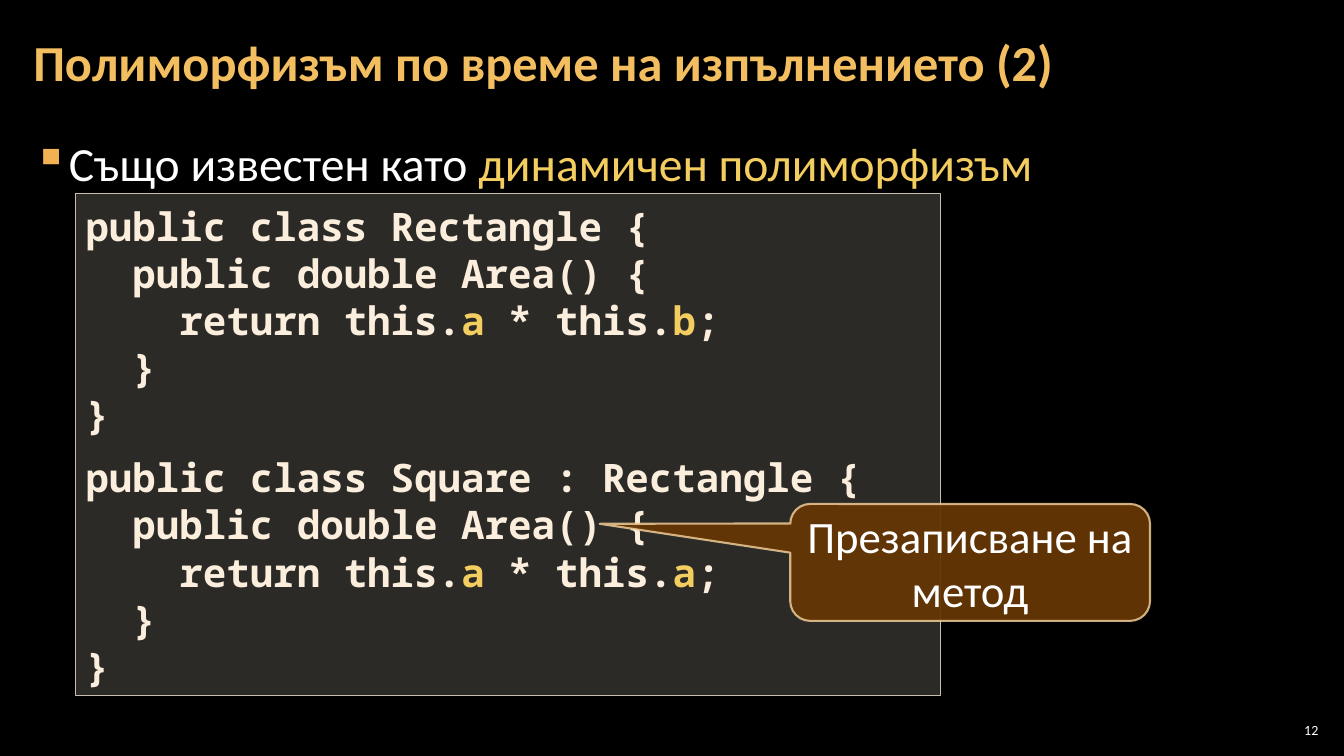
from lxml.etree import SubElement
from pptx import Presentation
from pptx.dml.color import RGBColor
from pptx.enum.shapes import MSO_SHAPE as Shape
from pptx.enum.text import MSO_ANCHOR as Anchor, PP_ALIGN as Align
from pptx.oxml.ns import qn
from pptx.util import Pt

BLACK = RGBColor(0x00, 0x00, 0x00)
WHITE = RGBColor(0xFF, 0xFF, 0xFF)
GOLD = RGBColor(0xF3, 0xBE, 0x60)
BULLET = RGBColor(0xF2, 0xB2, 0x54)
HIGHLIGHT = RGBColor(0xF3, 0xCD, 0x60)
CREAM = RGBColor(0xFB, 0xEE, 0xDC)
PANEL = RGBColor(0xD9, 0xD5, 0xC7)
PANEL_EDGE = RGBColor(0xC7, 0xBF, 0xAC)
BROWN = RGBColor(0x66, 0x36, 0x06)
BROWN_EDGE = RGBColor(0xF8, 0xD4, 0x9E)

TITLE = "Полиморфизъм по време на изпълнението (2)"
INTRO = "Също известен като |динамичен полиморфизъм"
CLASSES = [
    [
        "public class Rectangle {",
        "  public double Area() {",
        "    return this.|a| * this.|b|;",
        "  }",
        "}",
    ],
    [
        "public class Square : Rectangle {",
        "  public double Area() {",
        "    return this.|a| * this.|a|;",
        "  }",
        "}",
    ],
]
CALLOUT = "Презаписване на метод"
PAGE = "12"

TITLE_FONT = {"name": "Calibri", "size": Pt(36), "bold": True}
INTRO_FONT = {"name": "Calibri", "size": Pt(34)}
CODE_FONT = {"name": "Noto Sans Mono", "size": Pt(28), "bold": True}
CALLOUT_FONT = {"name": "Calibri", "size": Pt(32)}
PAGE_FONT = {"name": "Calibri", "size": Pt(10)}
TEXT_FRAME = {
    "word_wrap": True,
    "margin_left": Pt(8.64),
    "margin_right": Pt(8.64),
    "margin_top": Pt(2.88),
    "margin_bottom": Pt(2.88),
}
PAGE_FRAME = TEXT_FRAME | {"margin_left": Pt(2.88), "margin_right": Pt(2.88)}


def apply(target, values):
    for key, value in values.items():
        setattr(target, key, value)


def box(left, top, width, height):
    return Pt(left), Pt(top), Pt(width), Pt(height)


def write(paragraph, text, font, color):
    for index, part in enumerate(text.split("|")):
        run = paragraph.add_run()
        run.text = part
        apply(run.font, font)
        run.font.color.rgb = HIGHLIGHT if index % 2 else color


def paint(part, color, opacity):
    part.solid()
    part.fore_color.rgb = color
    solid = part._xPr.find(qn("a:solidFill"))
    SubElement(solid[0], qn("a:alpha"), val=str(opacity * 1000))


def add_panel(kind, place, fill, line, line_width):
    panel = slide.shapes.add_shape(kind, *place)
    panel.shadow.inherit = False
    paint(panel.fill, *fill)
    paint(panel.line.fill, *line)
    panel.line.width = Pt(line_width)
    return panel


prs = Presentation()
prs.slide_width, prs.slide_height = Pt(960), Pt(540)
slide = prs.slides.add_slide(prs.slide_layouts[5])
slide.background.fill.solid()
slide.background.fill.fore_color.rgb = BLACK

page = slide.shapes.add_textbox(*box(910.8, 514, 33.8, 15.1)).text_frame
apply(page, PAGE_FRAME | {"vertical_anchor": Anchor.MIDDLE})
page.paragraphs[0].alignment = Align.RIGHT
write(page.paragraphs[0], PAGE, PAGE_FONT, WHITE)

intro = slide.shapes.add_textbox(*box(15.1, 90.7, 929.5, 438.5)).text_frame
apply(intro, TEXT_FRAME)
intro_line = intro.paragraphs[0]
apply(intro_line, {"line_spacing": 1.05, "space_after": Pt(6)})
properties = intro_line._p.get_or_add_pPr()
properties.set("marL", str(Pt(24)))
properties.set("indent", str(Pt(-24)))
bullet_color = SubElement(properties, qn("a:buClr"))
SubElement(bullet_color, qn("a:srgbClr"), val=str(BULLET))
SubElement(properties, qn("a:buChar"), char="▪")
write(intro_line, INTRO, INTRO_FONT, WHITE)

title = slide.shapes.title
apply(title, dict(zip(("left", "top", "width", "height"), box(15.1, 2.9, 753.8, 87.1))))
apply(title.text_frame, TEXT_FRAME | {"vertical_anchor": Anchor.MIDDLE})
apply(title.text_frame.paragraphs[0], {"alignment": Align.LEFT, "line_spacing": 0.9})
write(title.text_frame.paragraphs[0], TITLE, TITLE_FONT, GOLD)

code = add_panel(Shape.RECTANGLE, box(54, 138.2, 617.8, 358.6), (PANEL, 20), (PANEL_EDGE, 100), 1).text_frame
apply(code, {"word_wrap": True, "vertical_anchor": Anchor.TOP, "margin_top": Pt(6), "margin_bottom": Pt(0)})
for class_index, lines in enumerate(CLASSES):
    for line_index, line in enumerate(lines):
        first = class_index == line_index == 0
        paragraph = code.paragraphs[0] if first else code.add_paragraph()
        apply(paragraph, {"alignment": Align.LEFT, "line_spacing": Pt(33.6)})
        if class_index and line_index == 0:
            paragraph.space_before = Pt(12)
        write(paragraph, line, CODE_FONT, CREAM)

callout = add_panel(Shape.ROUNDED_RECTANGULAR_CALLOUT, box(564.5, 360, 257, 83.5), (BROWN, 95), (BROWN_EDGE, 80), 1.5)
for index, value in enumerate((-1.03, -0.33, 0.17)):
    callout.adjustments[index] = value
apply(callout.text_frame, {"word_wrap": True, "vertical_anchor": Anchor.MIDDLE})
callout.text_frame.paragraphs[0].alignment = Align.CENTER
write(callout.text_frame.paragraphs[0], CALLOUT, CALLOUT_FONT, WHITE)

prs.save("out.pptx")
